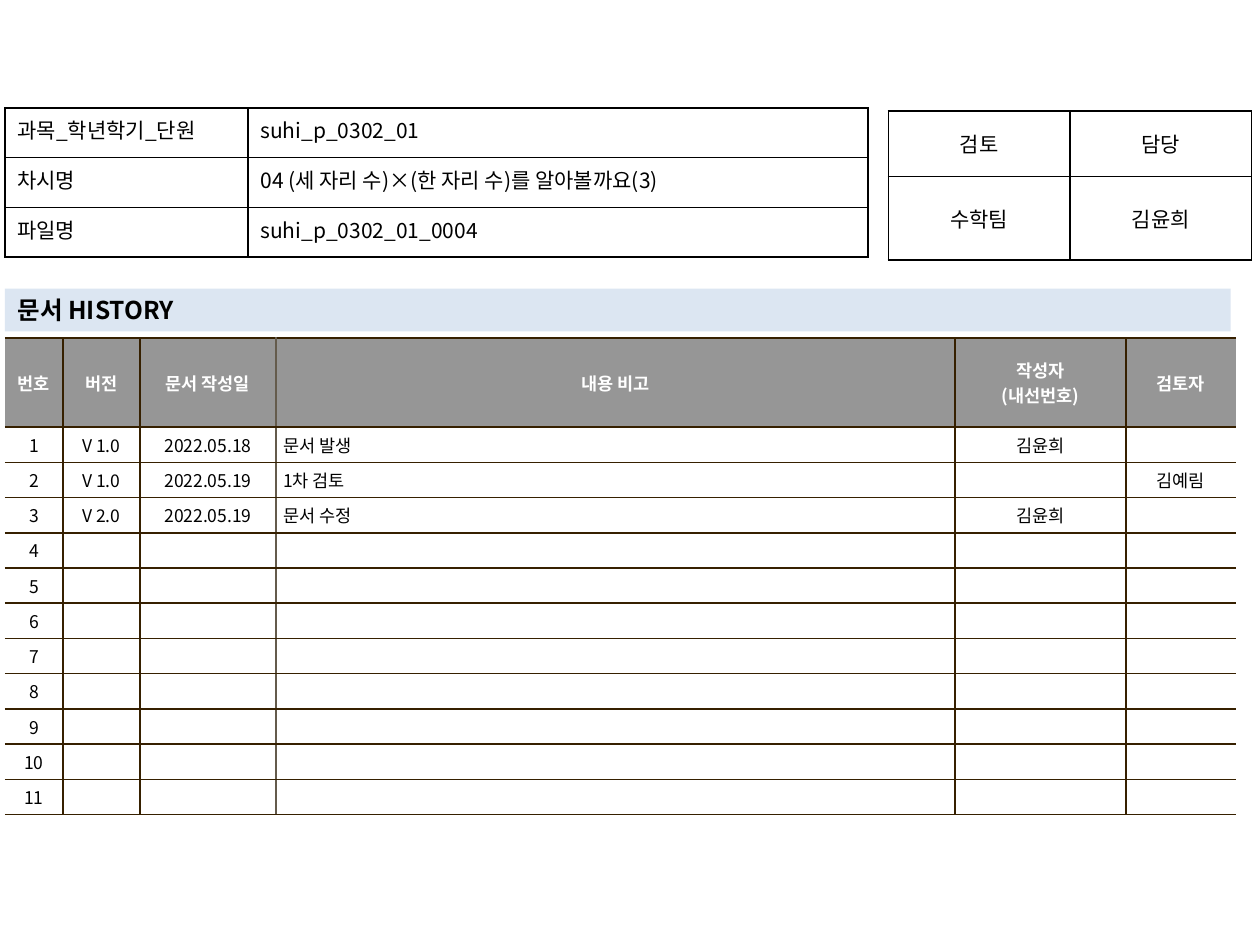
from lxml.etree import SubElement
from pptx import Presentation
from pptx.dml.color import RGBColor
from pptx.enum.text import MSO_ANCHOR as VA, MSO_AUTO_SIZE as FIT, PP_ALIGN as AL
from pptx.oxml import parse_xml
from pptx.oxml.ns import nsdecls, qn
from pptx.util import Cm, Pt

FONT = "Noto Sans CJK KR"
rgb = RGBColor.from_string


def write(tf, text, align, color, **fmt):
    tf.text = text
    for p in tf.paragraphs:
        p.alignment = align
        for r in p.runs:
            for name, value in {"name": FONT, **fmt}.items():
                setattr(r.font, name, value)
            r.font.color.rgb = rgb(color)
            SubElement(r.font._element, qn("a:ea"), typeface=FONT)
        if not p.runs:
            SubElement(p._p, qn("a:endParaRPr"), sz=str(int(fmt["size"].pt * 100)))


def border(cell, edges):
    tcPr = cell._tc.get_or_add_tcPr()
    for i, (side, color) in enumerate(edges.items()):
        fill = f'<a:solidFill><a:srgbClr val="{color}"/></a:solidFill>' if color else "<a:noFill/>"
        tcPr.insert(i, parse_xml(f'<a:ln{side} {nsdecls("a")} w="12700">{fill}</a:ln{side}>'))


prs = Presentation()
prs.slide_width, prs.slide_height = Cm(25.4), Cm(19.05)
s = prs.slides.add_slide(prs.slide_layouts[5])

title = s.shapes.title
title.left, title.top, title.width, title.height = Cm(0.1), Cm(5.82), Cm(24.71), Cm(0.86)
title.fill.solid()
title.fill.fore_color.rgb = rgb("DCE6F2")
title.text_frame.auto_size = FIT.NONE
title.text_frame.vertical_anchor = VA.MIDDLE
write(title.text_frame, "문서 HISTORY", AL.LEFT, "000000", size=Pt(14), bold=True)

history = [
    ["번호", "버전", "문서 작성일", "내용 비고", "작성자\n(내선번호)", "검토자"],
    ["1", "V 1.0", "2022.05.18", "문서 발생", "김윤희", ""],
    ["2", "V 1.0", "2022.05.19", "1차 검토", "", "김예림"],
    ["3", "V 2.0", "2022.05.19", "문서 수정", "김윤희", ""],
] + [[str(n)] + [""] * 5 for n in range(4, 12)]
review = [["검토", "담당"], ["수학팀", "김윤희"]]
info = [
    ["과목_학년학기_단원", "suhi_p_0302_01"],
    ["차시명", "04 (세 자리 수)×(한 자리 수)를 알아볼까요(3)"],
    ["파일명", "suhi_p_0302_01_0004"],
]

C, L, J = AL.CENTER, AL.LEFT, AL.JUSTIFY
tables = [
    (history, 0.1, 6.81, [1.17, 1.55, 2.74, 13.69, 3.45, 2.21], [1.8] + [0.71] * 11,
     [C, C, C, L, C, C], VA.MIDDLE, 10, (0.15, 0.1)),
    (review, 17.91, 2.24, [3.66] * 2, [1.32, 1.68], [C, C], VA.MIDDLE, 12, (0.25, 0.13)),
    (info, 0.1, 2.18, [4.9, 12.5], [1.0] * 3, [J, L], VA.TOP, 12, (0.25, 0.13)),
]

for data, left, top, widths, heights, aligns, anchor, size, (mx, my) in tables:
    tbl = s.shapes.add_table(len(heights), len(widths), Cm(left), Cm(top),
                             Cm(sum(widths)), Cm(sum(heights))).table
    tbl.first_row = tbl.horz_banding = False
    for col, w in zip(tbl.columns, widths):
        col.width = Cm(w)
    for row, h in zip(tbl.rows, heights):
        row.height = Cm(h)
    is_history = data is history
    for i, texts in enumerate(data):
        for j, text in enumerate(texts):
            cell = tbl.cell(i, j)
            head = is_history and i == 0
            fmt = {"vertical_anchor": anchor, "margin_left": Cm(mx), "margin_right": Cm(mx),
                   "margin_top": Cm(my), "margin_bottom": Cm(my)}
            for name, value in fmt.items():
                setattr(cell, name, value)
            write(cell.text_frame, text, C if head else aligns[j],
                  "FFFFFF" if head else "000000", size=Pt(size), bold=head)
            edges = dict.fromkeys("LRTB", "362000" if is_history else "000000")
            if is_history:
                cell.fill.solid()
                cell.fill.fore_color.rgb = rgb("969696" if head else "FFFFFF")
                edges["L"] = {0: None, 3: "645B4C"}.get(j, "362000")
                edges["R"] = {2: "645B4C", 5: None}.get(j, "362000")
            else:
                cell.fill.background()
            border(cell, edges)

prs.save("out.pptx")
